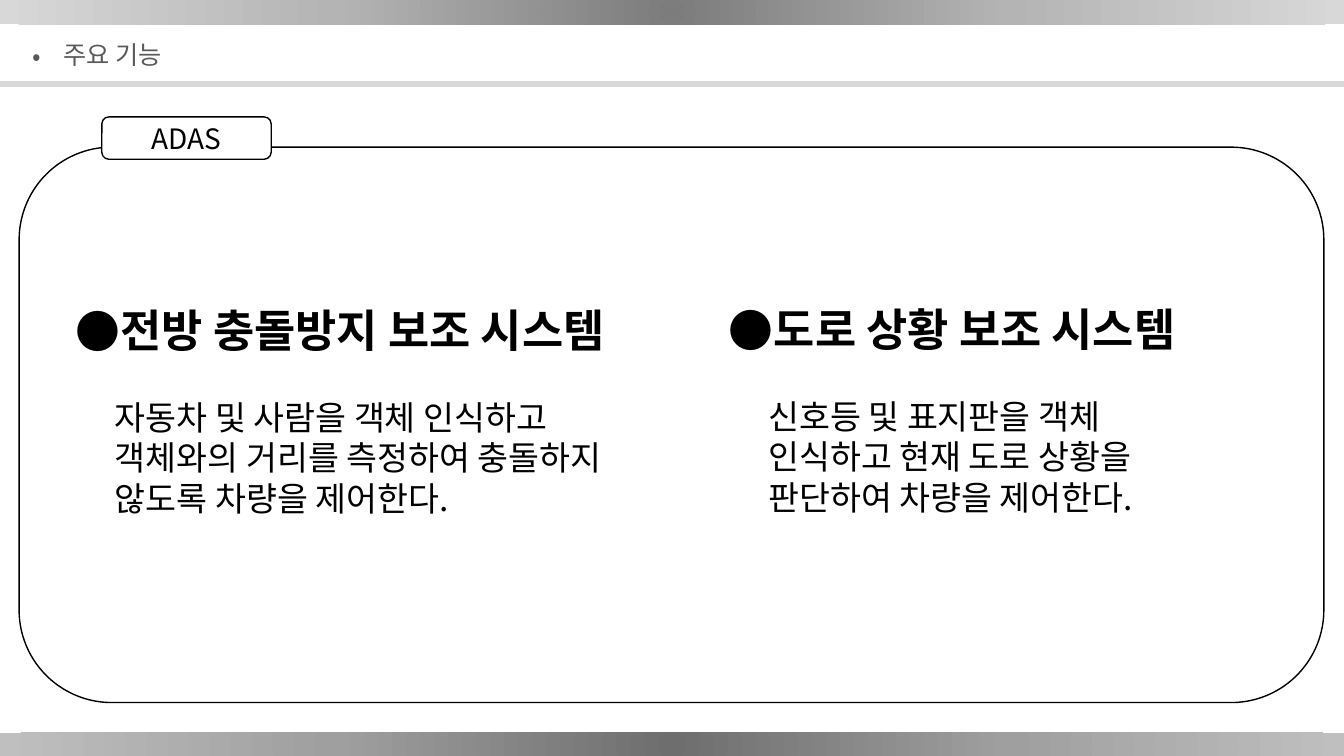
from lxml import etree
from pptx import Presentation, oxml, util as u
from pptx.dml import color
from pptx.enum import shapes, text
from pptx.oxml import ns

FACE = "Noto Sans CJK KR"
HUES = {"ink": "000000", "paper": "FFFFFF", "rule": "D8D8D8", "title": "595959"}
TOP = {0: "7C7C7C", 50: "B4B4B4", 100: "D8D8D8"}
BASE = {0: "6E6E6E", 50: "9F9F9F", 100: "BFBFBF"}
ITEMS = [
    ((0.65, 2.95, 5.93, 2.26), "전방 충돌방지 보조 시스템",
     "자동차 및 사람을 객체 인식하고 객체와의 거리를 측정하여 충돌하지 않도록 차량을 제어한다."),
    ((7.13, 2.94, 5.08, 2.26), "도로 상황 보조 시스템",
     "신호등 및 표지판을 객체 인식하고 현재 도로 상황을 판단하여 차량을 제어한다."),
]


def rgb(name):
    """Return the named colour."""
    return color.RGBColor.from_string(HUES[name])


def apply(item, **vals):
    """Set each given attribute on an object."""
    for key, val in vals.items():
        setattr(item, key, val)


def place(item, box):
    """Move an object to a box given in inches."""
    for key, val in zip(("left", "top", "width", "height"), box):
        setattr(item, key, u.Inches(val))


def write(para, words, size, hue, bold=False):
    """Add a run in the slide face to a paragraph."""
    run = para.add_run()
    run.text = words
    apply(run.font, name=FACE, size=u.Pt(size), bold=bold)
    run.font.color.rgb = rgb(hue)
    etree.SubElement(run.font._element, ns.qn("a:ea"), typeface=FACE)


def indent(para, left, first=0, mark=None, hue="ink"):
    """Set the indents and the bullet of a paragraph."""
    props = para._p.get_or_add_pPr()
    props.set("marL", str(u.Inches(left)))
    props.set("indent", str(u.Inches(first)))
    if mark:
        tint = etree.SubElement(props, ns.qn("a:buClr"))
        etree.SubElement(tint, ns.qn("a:srgbClr"), val=HUES[hue])
        etree.SubElement(props, ns.qn("a:buFont"), typeface=FACE)
        etree.SubElement(props, ns.qn("a:buChar"), char=mark)
    else:
        etree.SubElement(props, ns.qn("a:buNone"))


def block(slide, kind, box, fill="paper", line=None):
    """Draw a flat shape, outlined if a line colour is given."""
    shape = slide.shapes.add_shape(kind, *map(u.Inches, box))
    shape.shadow.inherit = False
    shape.fill.solid()
    shape.fill.fore_color.rgb = rgb(fill)
    if line:
        shape.line.color.rgb = rgb(line)
        shape.line.width = u.Pt(1)
    else:
        shape.line.fill.background()
    return shape


def band(slide, box, stops):
    """Draw a bar with a gradient running out from its centre."""
    bar = block(slide, shapes.MSO_SHAPE.RECTANGLE, box)
    marks = "".join(f'<a:gs pos="{pos * 1000}"><a:srgbClr val="{hue}"/></a:gs>'
                    for pos, hue in stops.items())
    grad = oxml.parse_xml(
        f'<a:gradFill {ns.nsdecls("a")} rotWithShape="1"><a:gsLst>{marks}</a:gsLst>'
        '<a:path path="circle"><a:fillToRect l="50000" t="50000" r="50000" b="50000"/>'
        '</a:path></a:gradFill>')
    props = bar._element.spPr
    props.replace(props.find(ns.qn("a:solidFill")), grad)


def panel(slide, box):
    """Draw the rounded panel and its label tab."""
    left, top = box[:2]
    kind = shapes.MSO_SHAPE.ROUNDED_RECTANGLE
    block(slide, kind, box, line="ink")
    tab = block(slide, kind, (left + 0.82, top - 0.3, 1.68, 0.42), line="ink")
    tab.text_frame.vertical_anchor = text.MSO_ANCHOR.MIDDLE
    para = tab.text_frame.paragraphs[0]
    para.alignment = text.PP_ALIGN.CENTER
    write(para, "ADAS", 20, "ink")


def fit(slide, holder, box, auto):
    """Bring a placeholder to the front and fit it to a box."""
    slide.shapes._spTree.append(holder._element)
    place(holder, box)
    frame = holder.text_frame
    apply(frame, word_wrap=True, auto_size=auto, vertical_anchor=text.MSO_ANCHOR.TOP)
    return frame


def head(slide, box):
    """Fill the title line."""
    frame = fit(slide, slide.shapes.title, box, text.MSO_AUTO_SIZE.NONE)
    para = frame.paragraphs[0]
    apply(para, alignment=text.PP_ALIGN.LEFT, line_spacing=0.9)
    indent(para, 0.31, -0.31, "•", "title")
    write(para, "주요 기능", 18, "title")


def topic(slide, holder, box, name, body):
    """Fill one feature with its heading and description."""
    frame = fit(slide, holder, box, text.MSO_AUTO_SIZE.SHAPE_TO_FIT_TEXT)
    lead, note = frame.paragraphs[0], frame.add_paragraph()
    lead.space_before = u.Pt(0)
    indent(lead, 0.38, -0.38, "●")
    write(lead, name, 32, "ink", True)
    note.space_before = u.Pt(29)
    indent(note, 0.39)
    write(note, body, 24, "ink")


def main():
    """Build and save the slide."""
    deck = Presentation()
    apply(deck, slide_width=u.Inches(13.33), slide_height=u.Inches(7.5))
    slide = deck.slides.add_slide(deck.slide_layouts[3])
    holders = list(slide.placeholders)[1:]
    panel(slide, (0.19, 1.46, 12.94, 5.51))
    band(slide, (0, 0, 13.33, 0.24), TOP)
    band(slide, (0, 7.27, 13.33, 0.24), BASE)
    block(slide, shapes.MSO_SHAPE.RECTANGLE, (0, 0.81, 13.33, 0.05), "rule", "rule")
    head(slide, (0.22, 0.37, 7.4, 0.3))
    for holder, item in zip(holders, ITEMS):
        topic(slide, holder, *item)
    deck.save("out.pptx")


if __name__ == "__main__":
    main()
